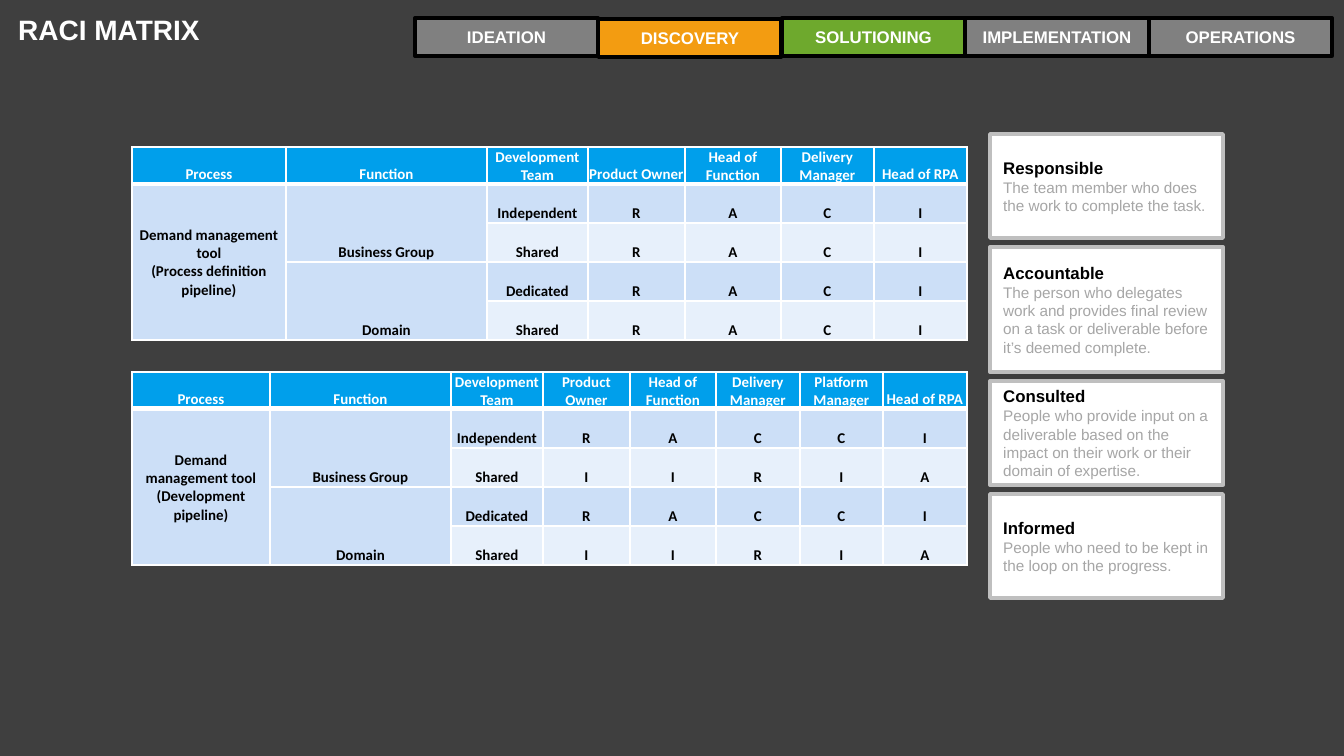
from lxml import etree
from pptx import Presentation
from pptx.dml.color import RGBColor
from pptx.enum.shapes import MSO_SHAPE
from pptx.enum.text import MSO_ANCHOR, PP_ALIGN
from pptx.oxml.ns import qn
from pptx.util import Emu, Pt

RECT = MSO_SHAPE.RECTANGLE
LEFT, CENTER = PP_ALIGN.LEFT, PP_ALIGN.CENTER
MIDDLE, BOTTOM = MSO_ANCHOR.MIDDLE, MSO_ANCHOR.BOTTOM
SCALE = 914400 / 134.4

WHITE, BLACK, GRAY = "FFFFFF", "000000", "808080"
SILVER, MUTED = "BFBFBF", "A6A6A6"
BLUE, PALE, LIGHT = "009FEB", "CCDFF7", "E7F0FB"
ORANGE, GREEN, DARK = "F39C11", "6EA92D", "3F3F3F"


def px(n):
    return Emu(round(n * SCALE))


def color(code):
    return RGBColor.from_string(code)


class Deck:
    sans, grid = "Arial", "Calibri"

    def __init__(self, width, height):
        self.show = Presentation()
        self.show.slide_width, self.show.slide_height = px(width), px(height)
        self.slide = self.show.slides.add_slide(self.show.slide_layouts[6])
        fill = self.slide.background.fill
        fill.solid()
        fill.fore_color.rgb = color(DARK)

    def label(self, frame, lines, font, align=LEFT):
        """Fill a frame; each line is (text, size, colour, bold)."""
        frame.word_wrap = True
        for i, (text, size, tint, bold) in enumerate(lines):
            para = frame.add_paragraph() if i else frame.paragraphs[0]
            para.alignment = align
            run = para.add_run()
            run.text = text
            run.font.name, run.font.size = font, Pt(size)
            run.font.bold = bold
            run.font.color.rgb = color(tint)

    def title(self, text, x, y, w, h):
        frame = self.slide.shapes.add_textbox(px(x), px(y), px(w), px(h)).text_frame
        frame.margin_top = frame.margin_bottom = px(13)
        self.label(frame, [(text, 15, WHITE, True)], self.sans)

    def box(self, x, y, w, h, fill, line, lines, align):
        shape = self.slide.shapes.add_shape(RECT, px(x), px(y), px(w), px(h))
        shape.shadow.inherit = False
        shape.fill.solid()
        shape.fill.fore_color.rgb = color(fill)
        shape.line.color.rgb = color(line)
        shape.line.width = Pt(2)
        shape.text_frame.vertical_anchor = MIDDLE
        self.label(shape.text_frame, lines, self.sans, align)

    def cell(self, cell, text, fill, tint, anchor=BOTTOM, base=1):
        cell.margin_left = cell.margin_right = cell.margin_top = px(1)
        cell.margin_bottom = 0
        cell.vertical_anchor = anchor
        # Borders come before the fill in the cell properties
        props = cell._tc.get_or_add_tcPr()
        for side, width in (("L", 1), ("R", 1), ("T", 1), ("B", base)):
            edge = etree.SubElement(props, qn(f"a:ln{side}"), w=str(Pt(width)))
            solid = etree.SubElement(edge, qn("a:solidFill"))
            etree.SubElement(solid, qn("a:srgbClr"), val=WHITE)
        cell.fill.solid()
        cell.fill.fore_color.rgb = color(fill)
        if text:
            lines = [(part, 8, tint, True) for part in text.split("\n")]
            self.label(cell.text_frame, lines, self.grid, CENTER)

    def table(self, x, y, widths, heights, heads, rows):
        table = self.slide.shapes.add_table(
            len(heights), len(widths), px(x), px(y),
            px(sum(widths)), px(sum(heights))).table
        for col, width in zip(table.columns, widths):
            col.width = px(width)
        for row, height in zip(table.rows, heights):
            row.height = px(height)
        for c, text in enumerate(heads):
            self.cell(table.cell(0, c), text, BLUE, WHITE, base=3)
        for r, row in enumerate(rows, 1):
            for c, text in enumerate(row):
                fill = PALE if c < 2 or r % 2 else LIGHT
                anchor = BOTTOM if c else MIDDLE
                self.cell(table.cell(r, c), text, fill, BLACK, anchor)
        # One process over all rows, each function over two
        for top, col, end in ((1, 0, 4), (1, 1, 2), (3, 1, 4)):
            table.cell(top, col).merge(table.cell(end, col))


def build_rows(process, marks):
    teams = ("Independent", "Shared", "Dedicated", "Shared")
    groups = ("Business Group", "", "Domain", "")
    return [(process if i == 0 else "", groups[i], teams[i], *marks[i % 2])
            for i in range(4)]


def main():
    deck = Deck(1344, 756)
    deck.title("RACI MATRIX", 5, 0, 431, 85)

    # Role legend
    roles = (
        ("Responsible", 104, "The team member who does the work to complete the task."),
        ("Accountable", 125, "The person who delegates work and provides final review "
                             "on a task or deliverable before it’s deemed complete."),
        ("Consulted", 104, "People who provide input on a deliverable based on the "
                           "impact on their work or their domain of expertise."),
        ("Informed", 104, "People who need to be kept in the loop on the progress."),
    )
    top = 134
    for name, height, note in roles:
        lines = [(name, 9, BLACK, True), (note, 8.2, MUTED, False)]
        deck.box(990, top, 233, height, WHITE, SILVER, lines, LEFT)
        top += height + 9

    # Matrices
    heights = [37] + [39] * 4
    heads = ["Process", "Function", "Development Team", "Product Owner",
             "Head of Function", "Delivery Manager"]
    deck.table(132, 372, (138, 181, 92, 87, 86, 84, 83, 84), heights,
               heads + ["Platform Manager", "Head of RPA"],
               build_rows("Demand management tool\n(Development pipeline)",
                          ("RACCI", "IIRIA")))
    deck.table(132, 147, (154, 201, 101, 97, 96, 93, 93), heights,
               heads + ["Head of RPA"],
               build_rows("Demand management tool\n(Process definition pipeline)",
                          ("RACI", "RACI")))

    # Stage bar: (slot, name, fill, top)
    stages = (
        (1, "DISCOVERY", ORANGE, 19),
        (2, "SOLUTIONING", GREEN, 18),
        (3, "IMPLEMENTATION", GRAY, 18),
        (4, "OPERATIONS", GRAY, 18),
        (0, "IDEATION", GRAY, 18),
    )
    for slot, name, fill, top in stages:
        deck.box(415 + slot * 183.5, top, 183, 38, fill, BLACK,
                 [(name, 9, WHITE, True)], CENTER)

    deck.show.save("out.pptx")


if __name__ == "__main__":
    main()
